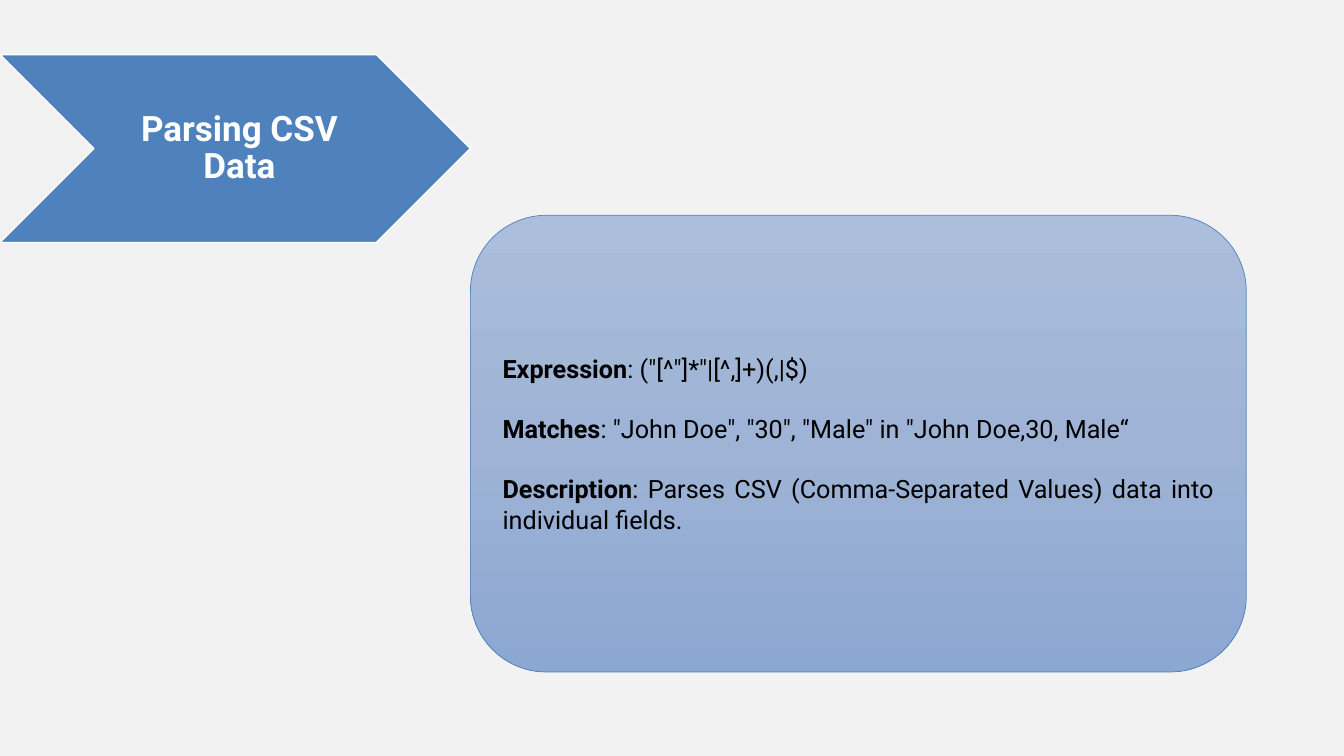
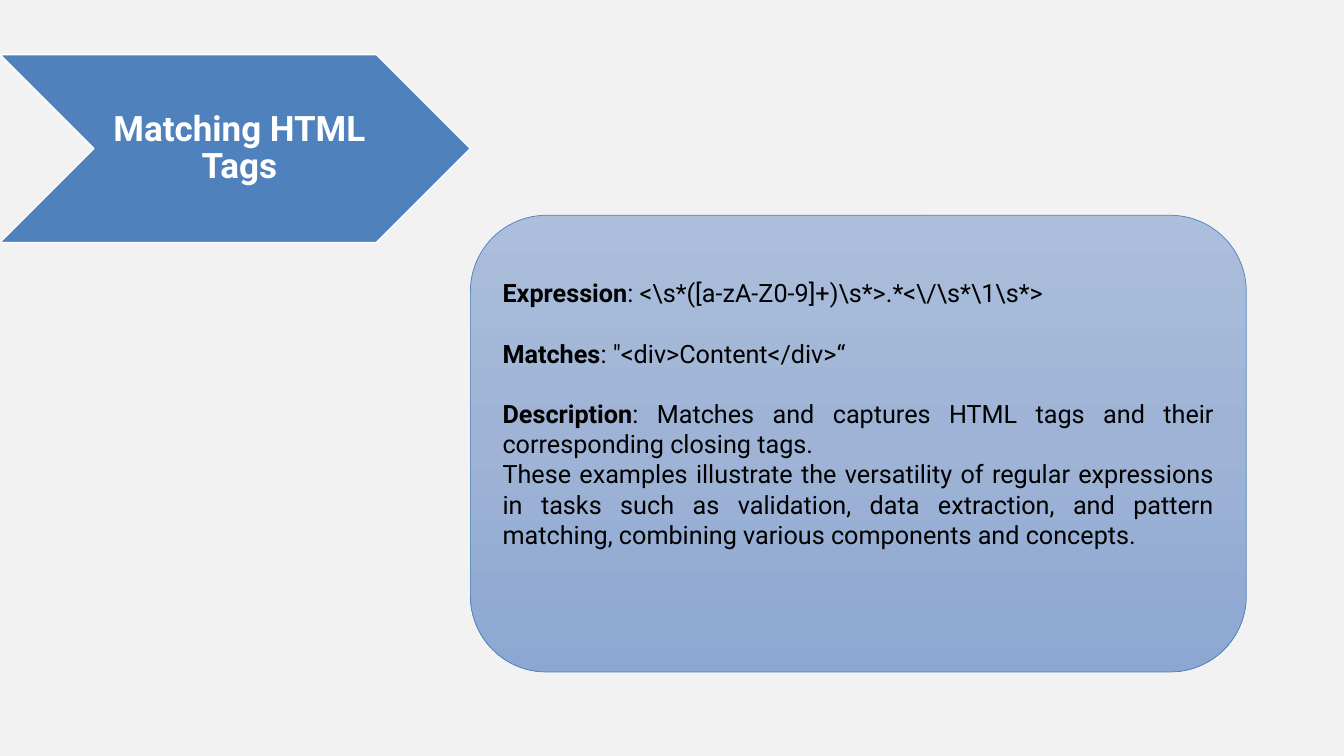
from copy import deepcopy

from pptx import Presentation
from pptx.dml.color import RGBColor
from pptx.enum.shapes import MSO_SHAPE
from pptx.enum.text import MSO_ANCHOR, PP_ALIGN
from pptx.oxml.ns import qn
from pptx.util import Pt

CHEVRON = MSO_SHAPE.CHEVRON
CARD = MSO_SHAPE.FLOWCHART_ALTERNATE_PROCESS
MIDDLE = MSO_ANCHOR.MIDDLE
CENTER, JUSTIFY = PP_ALIGN.CENTER, PP_ALIGN.JUSTIFY
PX = 9525  # EMU in one px, 96 px to the inch


class Theme:
    font = "Roboto"
    page = RGBColor.from_string("F2F2F2")
    blue = RGBColor.from_string("4F81BD")
    white = RGBColor.from_string("FFFFFF")
    black = RGBColor.from_string("000000")
    fade = [RGBColor.from_string(c) for c in ("ABBEDB", "9EB3D5", "8CA7D2")]
    title = Pt(25)
    body = Pt(18)
    gap = Pt(21.5)


def px(*sizes):
    return [size * PX for size in sizes]


def add_run(para, text, size, color, bold):
    run = para.add_run()
    run.text = text
    font = run.font
    font.name, font.size, font.bold = Theme.font, size, bold
    font.color.rgb = color


# Each slide: title, bottom inset of the card, paragraphs (label, text)
SLIDES = [
    ("Parsing CSV Data", 5, [
        ("Expression", r': ("[^"]*"|[^,]+)(,|$)'),
        ("Matches", ': "John Doe", "30", "Male" in "John Doe,30, Male“'),
        ("Description", ": Parses CSV (Comma-Separated Values) data into "
                        "individual fields."),
    ]),
    ("Matching HTML Tags", 62, [
        ("Expression", r": <\s*([a-zA-Z0-9]+)\s*>.*<\/\s*\1\s*>"),
        ("Matches", ': "<div>Content</div>“'),
        ("Description", ": Matches and captures HTML tags and their "
                        "corresponding closing tags."),
        ("", "These examples illustrate the versatility of regular "
             "expressions in tasks such as validation, data extraction, and "
             "pattern matching, combining various components and concepts."),
    ]),
]

prs = Presentation()
prs.slide_width, prs.slide_height = px(1280, 720)
back = prs.slide_master.background.fill
back.solid()
back.fore_color.rgb = Theme.page
blank = prs.slide_layouts[6]

for title, inset, paras in SLIDES:
    slide = prs.slides.add_slide(blank)

    # Title arrow with its label
    group = slide.shapes.add_group_shape()
    arrow = group.shapes.add_shape(CHEVRON, *px(0, 52, 448, 179))
    arrow.shadow.inherit = False
    arrow.fill.solid()
    arrow.fill.fore_color.rgb = Theme.blue
    arrow.line.color.rgb = Theme.white
    arrow.line.width = Pt(1)

    label = group.shapes.add_textbox(*px(90, 52, 269, 179)).text_frame
    label.word_wrap = True
    label.vertical_anchor = MIDDLE
    (label.margin_left, label.margin_top,
     label.margin_right, label.margin_bottom) = px(11, 4, 4, 4)
    para = label.paragraphs[0]
    para.alignment = CENTER
    para.line_spacing = 0.9
    add_run(para, title, Theme.title, Theme.white, True)

    # Card with a three-stop fade from top to bottom
    card = slide.shapes.add_shape(CARD, *px(448, 205, 739, 435))
    card.shadow.inherit = False
    card.line.color.rgb = Theme.blue
    card.line.width = Pt(0.5)
    card.fill.gradient()
    card.fill.gradient_angle = 270
    stops = card.fill._xPr.find(qn("a:gradFill")).find(qn("a:gsLst"))
    stops.insert(1, deepcopy(stops[0]))
    for i, stop in enumerate(card.fill.gradient_stops):
        stop.color.rgb = Theme.fade[i]
        stop.position = i / 2

    frame = card.text_frame
    frame.word_wrap = True
    frame.vertical_anchor = MIDDLE
    frame.margin_bottom = inset * PX
    for i, (head, text) in enumerate(paras):
        para = frame.add_paragraph() if i else frame.paragraphs[0]
        para.alignment = JUSTIFY
        if head:
            para.space_before = Theme.gap if i else 0
            add_run(para, head, Theme.body, Theme.black, True)
        add_run(para, text, Theme.body, Theme.black, False)

prs.save("out.pptx")
